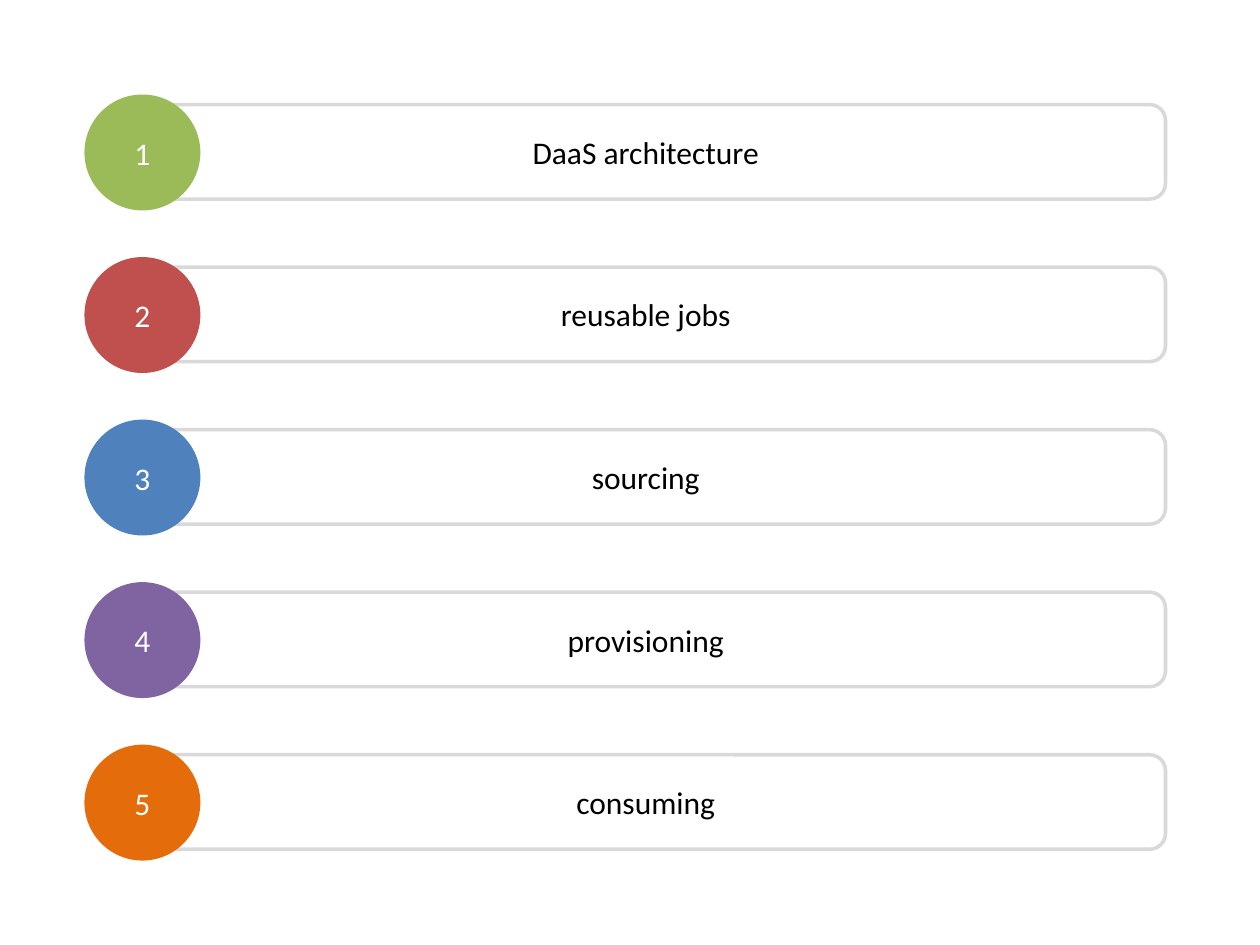
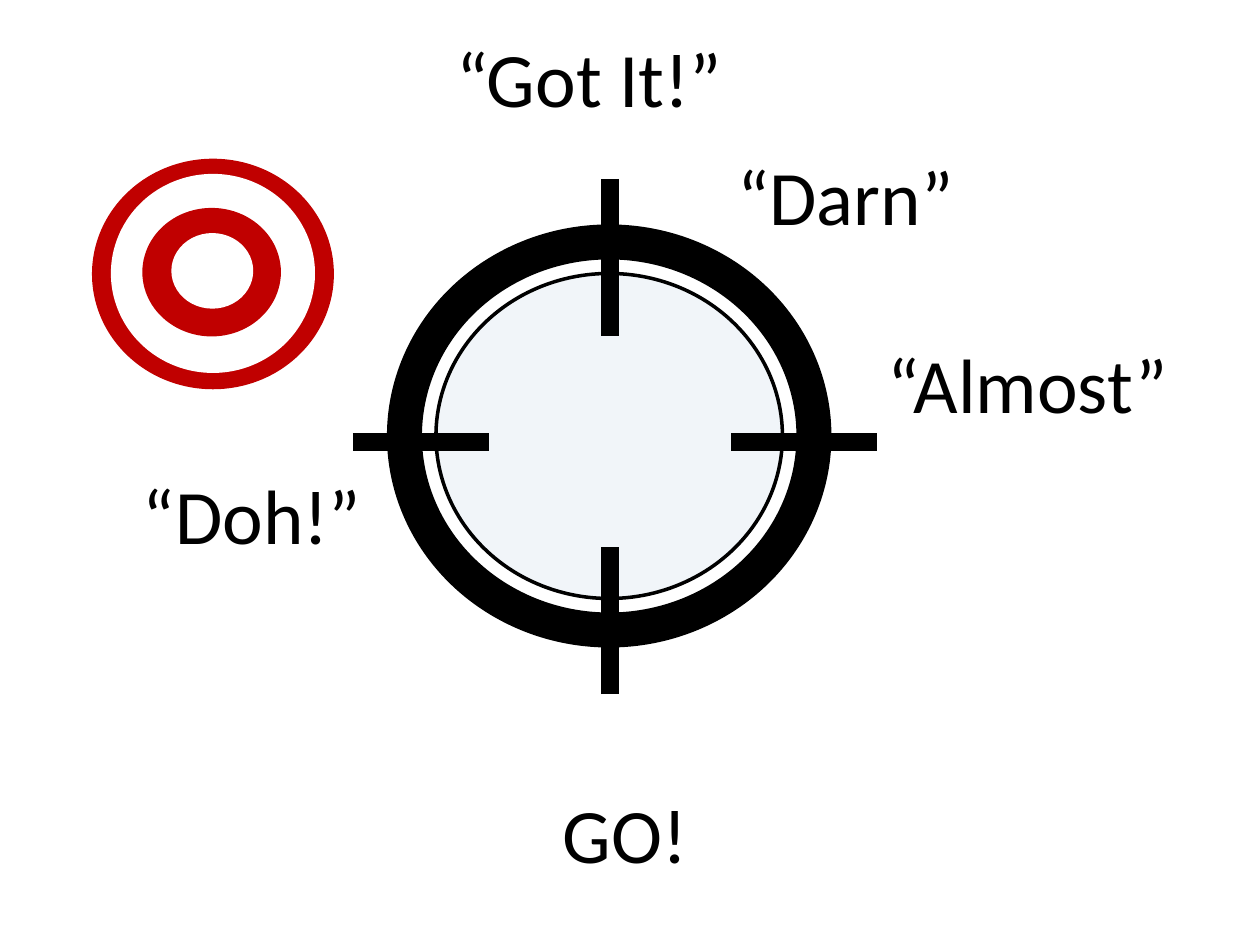
from lxml.etree import SubElement
from pptx import Presentation
from pptx.dml.color import RGBColor
from pptx.enum.shapes import MSO_CONNECTOR as Connector, MSO_SHAPE as Shape
from pptx.enum.text import MSO_ANCHOR as Anchor, PP_ALIGN as Align
from pptx.oxml.ns import qn
from pptx.util import Pt

PX = 9144  # EMU, 100 px to the inch
FONT = "Calibri"

BLACK = RGBColor(0x00, 0x00, 0x00)
WHITE = RGBColor(0xFF, 0xFF, 0xFF)
GRAY = RGBColor(0xD9, 0xD9, 0xD9)
GREEN = RGBColor(0x9B, 0xBB, 0x59)
BRICK = RGBColor(0xC0, 0x50, 0x4D)
BLUE = RGBColor(0x4F, 0x81, 0xBD)
PURPLE = RGBColor(0x80, 0x64, 0xA2)
ORANGE = RGBColor(0xE4, 0x6C, 0x0A)
RED = RGBColor(0xC0, 0x00, 0x00)
LENS = RGBColor(0xDC, 0xE6, 0xF2)

AGENDA = [
    ("DaaS architecture", GREEN),
    ("reusable jobs", BRICK),
    ("sourcing", BLUE),
    ("provisioning", PURPLE),
    ("consuming", ORANGE),
]
ROW_TOP, ROW_PITCH = 83, 129
BAR_LEFT, BAR_WIDTH, BAR_HEIGHT = 100, 825, 75
BADGE_LEFT, BADGE_SIZE = 67, 92

TARGET_RINGS = [
    ((73, 126, 192, 183), RED),
    ((88, 138, 162, 158), WHITE),
    ((113, 165, 110, 102), RED),
    ((136, 185, 65, 60), WHITE),
]
CROSSHAIRS = [
    (280, 351, 388, 351),
    (696, 351, 580, 351),
    (484, 551, 484, 434),
    (484, 142, 484, 267),
]
SHOUTS = [
    ("GO!", (100, 619, 792, 84)),
    ("“Darn”", (567, 113, 208, 84)),
    ("“Doh!”", (96, 366, 208, 84)),
    ("“Almost”", (691, 262, 250, 84)),
    ("“Got It!”", (350, 19, 235, 84)),
]


def emu(*lengths):
    return [length * PX for length in lengths]


def write(box, text, size=18, color=BLACK, anchor=Anchor.MIDDLE):
    frame = box.text_frame
    frame.word_wrap = True
    frame.vertical_anchor = anchor
    para = frame.paragraphs[0]
    para.alignment = Align.CENTER
    span = para.add_run()
    span.text = text
    span.font.name = FONT
    span.font.size = Pt(size)
    span.font.color.rgb = color


def add_figure(parent, kind, bounds, fill=None, opacity=100, line=None, weight=2):
    figure = parent.shapes.add_shape(kind, *emu(*bounds))
    figure.shadow.inherit = False
    if fill is None:
        figure.fill.background()
    else:
        figure.fill.solid()
        figure.fill.fore_color.rgb = fill
        if opacity < 100:
            color = figure.fill._xPr.find(".//" + qn("a:srgbClr"))
            SubElement(color, qn("a:alpha"), val=str(opacity * 1000))
    if line is None:
        figure.line.fill.background()
    else:
        figure.line.color.rgb = line
        figure.line.width = Pt(weight)
    return figure


def add_line(parent, ends, color=BLACK, weight=10):
    line = parent.shapes.add_connector(Connector.STRAIGHT, *emu(*ends))
    line.line.color.rgb = color
    line.line.width = Pt(weight)
    SubElement(line._element.spPr, qn("a:effectLst"))


def add_agenda_row(page, number, topic, color):
    top = ROW_TOP + (number - 1) * ROW_PITCH
    row = page.shapes.add_group_shape()
    bar = add_figure(row, Shape.ROUNDED_RECTANGLE,
                     (BAR_LEFT, top, BAR_WIDTH, BAR_HEIGHT), line=GRAY)
    write(bar, topic)
    badge_top = top - (BADGE_SIZE - BAR_HEIGHT) // 2
    badge = add_figure(row, Shape.OVAL,
                       (BADGE_LEFT, badge_top, BADGE_SIZE, BADGE_SIZE), fill=color)
    write(badge, str(number), color=WHITE)


def add_target(page):
    target = page.shapes.add_group_shape()
    for bounds, color in TARGET_RINGS:
        add_figure(target, Shape.OVAL, bounds, fill=color)


def add_scope(page):
    scope = page.shapes.add_group_shape()
    add_figure(scope, Shape.OVAL, (321, 192, 325, 308), line=BLACK, weight=20)
    add_figure(scope, Shape.OVAL, (346, 217, 275, 258), fill=LENS, opacity=40, line=BLACK)
    for ends in CROSSHAIRS:
        add_line(scope, ends)


def add_shout(page, text, bounds):
    box = page.shapes.add_textbox(*emu(*bounds))
    write(box, text, size=44, anchor=Anchor.TOP)


def main():
    deck = Presentation()
    deck.slide_width, deck.slide_height = emu(1000, 750)
    blank = deck.slide_layouts[6]

    agenda = deck.slides.add_slide(blank)
    for number, (topic, color) in enumerate(AGENDA, start=1):
        add_agenda_row(agenda, number, topic, color)

    aiming = deck.slides.add_slide(blank)
    add_target(aiming)
    add_scope(aiming)
    for text, bounds in SHOUTS:
        add_shout(aiming, text, bounds)

    deck.save("out.pptx")


if __name__ == "__main__":
    main()
